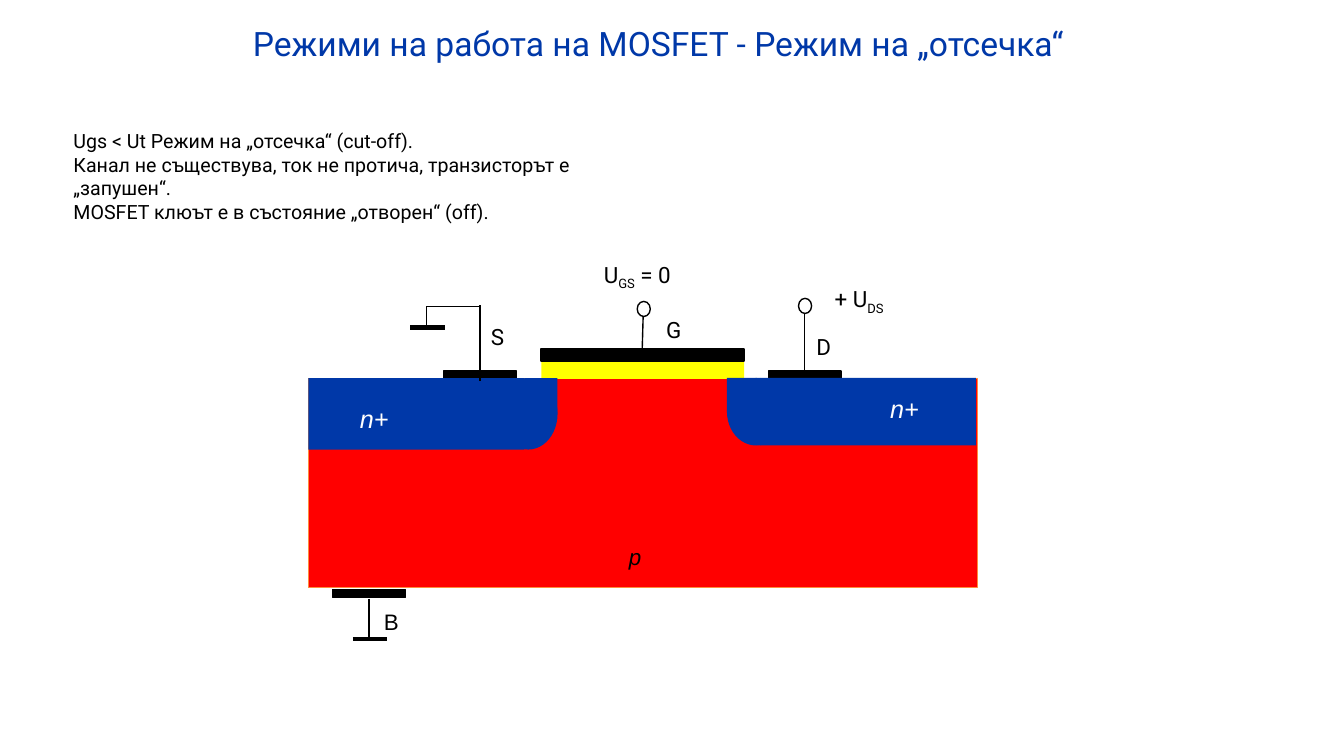
from dataclasses import dataclass

from lxml import etree
from pptx import Presentation
from pptx.dml.color import RGBColor
from pptx.enum import shapes, text
from pptx.oxml import ns
from pptx.util import Emu, Pt

PX = 9144  # EMU, 100 px to the inch


@dataclass(frozen=True)
class Theme:
    blue: str = "0038A8"
    red: str = "FF0000"
    yellow: str = "FFFF00"
    orange: str = "FF8C3C"
    black: str = "000000"
    white: str = "FFFFFF"
    sans: str = "Roboto"
    symbol: str = "Arial"
    title: int = 24
    region: int = 18
    label: int = 16
    body: int = 14


THEME = Theme()
RECT = shapes.MSO_SHAPE.RECTANGLE
OVAL = shapes.MSO_SHAPE.OVAL


def px(*lengths):
    return [Emu(length * PX) for length in lengths]


def add_text(slide, content, box, size=THEME.label, font=THEME.sans,
             color=THEME.black, italic=False, align=None, right_inset=10):
    """Each line is a paragraph; text between a pair of | is subscript."""
    frame = slide.shapes.add_textbox(*px(*box)).text_frame
    frame.word_wrap = True
    frame.auto_size = text.MSO_AUTO_SIZE.SHAPE_TO_FIT_TEXT
    frame.margin_right, = px(right_inset)
    for number, line in enumerate(content.split("\n")):
        paragraph = frame.add_paragraph() if number else frame.paragraphs[0]
        paragraph.alignment = align
        for index, part in enumerate(line.split("|")):
            if not part:
                continue
            run = paragraph.add_run()
            run.text = part
            run.font.size = Pt(size)
            run.font.name = font
            run.font.italic = italic
            run.font.color.rgb = RGBColor.from_string(color)
            if index % 2:
                run.font._element.set("baseline", "-25000")


def add_region(slide, box, fill, line=None, weight=1, kind=RECT):
    region = slide.shapes.add_shape(kind, *px(*box))
    region.shadow.inherit = False
    region.fill.solid()
    region.fill.fore_color.rgb = RGBColor.from_string(fill)
    if line:
        region.line.color.rgb = RGBColor.from_string(line)
        region.line.width = Pt(weight)
    else:
        region.line.fill.background()


def add_wire(slide, start, end, weight=1):
    wire = slide.shapes.add_connector(
        shapes.MSO_CONNECTOR.STRAIGHT, *px(*start, *end))
    wire.line.color.rgb = RGBColor.from_string(THEME.black)
    wire.line.width = Pt(weight)
    etree.SubElement(wire._element.spPr, ns.qn("a:effectLst"))


def add_contact(slide, left, top):
    add_region(slide, (left, top, 72, 8), THEME.black, THEME.black)


def add_terminal(slide, left, top):
    add_region(slide, (left, top, 13, 15), THEME.white, THEME.black, kind=OVAL)


def add_ground(slide, left, top):
    add_wire(slide, (left, top), (left + 34, top), weight=3)


def add_well(slide, outer, depth, inward):
    """n+ well with one rounded corner; inward is 1 to the right, -1 to the left."""
    parts = ((0, 214, depth, RECT), (214, 33, depth // 2, RECT),
             (189, 58, depth, OVAL))
    for offset, width, height, kind in parts:
        left = outer + offset if inward > 0 else outer - offset - width
        add_region(slide, (left, 375, width, height), THEME.blue, kind=kind)


def add_transistor(slide):
    add_region(slide, (306, 375, 663, 208), THEME.red, THEME.orange, 0.5)
    add_region(slide, (537, 359, 201, 17), THEME.yellow)
    add_region(slide, (537, 346, 201, 12), THEME.black, THEME.black, 1.5)
    for left, top in ((762, 368), (440, 368), (330, 585)):
        add_contact(slide, left, top)
    add_well(slide, 306, 71, 1)
    add_well(slide, 968, 67, -1)


def add_circuit(slide):
    wires = (
        ((366, 594), (366, 634)),  # body
        ((637, 346), (638, 310)),  # gate
        ((476, 378), (476, 303)),  # source
        ((475, 304), (423, 304)),
        ((423, 305), (423, 325)),
        ((798, 310), (798, 368)),  # drain
    )
    for start, end in wires:
        add_wire(slide, start, end)
    add_ground(slide, 350, 634)
    add_ground(slide, 407, 325)
    add_terminal(slide, 632, 299)
    add_terminal(slide, 792, 296)


def add_labels(slide):
    add_text(slide, "p", (614, 534, 186, 37), font=THEME.symbol, italic=True)
    for left, top in ((873, 385), (347, 395)):
        add_text(slide, "n+", (left, top, 68, 40), THEME.region, THEME.symbol,
                 THEME.white, italic=True)
    for name, left, top in (("G", 651, 309), ("S", 477, 316), ("D", 800, 326)):
        add_text(slide, name, (left, top, 43, 37))
    add_text(slide, "U|GS| = 0", (589, 254, 136, 37))
    add_text(slide, "+ U|DS|", (818, 278, 107, 37))
    add_text(slide, "B", (371, 598, 40, 37), font=THEME.symbol)


def main():
    deck = Presentation()
    deck.slide_width, deck.slide_height = px(1333, 750)
    slide = deck.slides.add_slide(deck.slide_layouts[6])
    add_text(slide, "Режими на работа на MOSFET - Режим на „отсечка“",
             (-3, 18, 1336, 50), THEME.title, color=THEME.blue,
             align=text.PP_ALIGN.CENTER, right_inset=34)
    add_text(slide, "Ugs < Ut Режим на „отсечка“ (cut-off).\n"
             "Канал не съществува, ток не протича, транзисторът е „запушен“.\n"
             "MOSFET клюът е в състояние „отворен“ (off).",
             (63, 123, 597, 104), THEME.body)
    add_transistor(slide)
    add_circuit(slide)
    add_labels(slide)
    deck.save("out.pptx")


if __name__ == "__main__":
    main()
